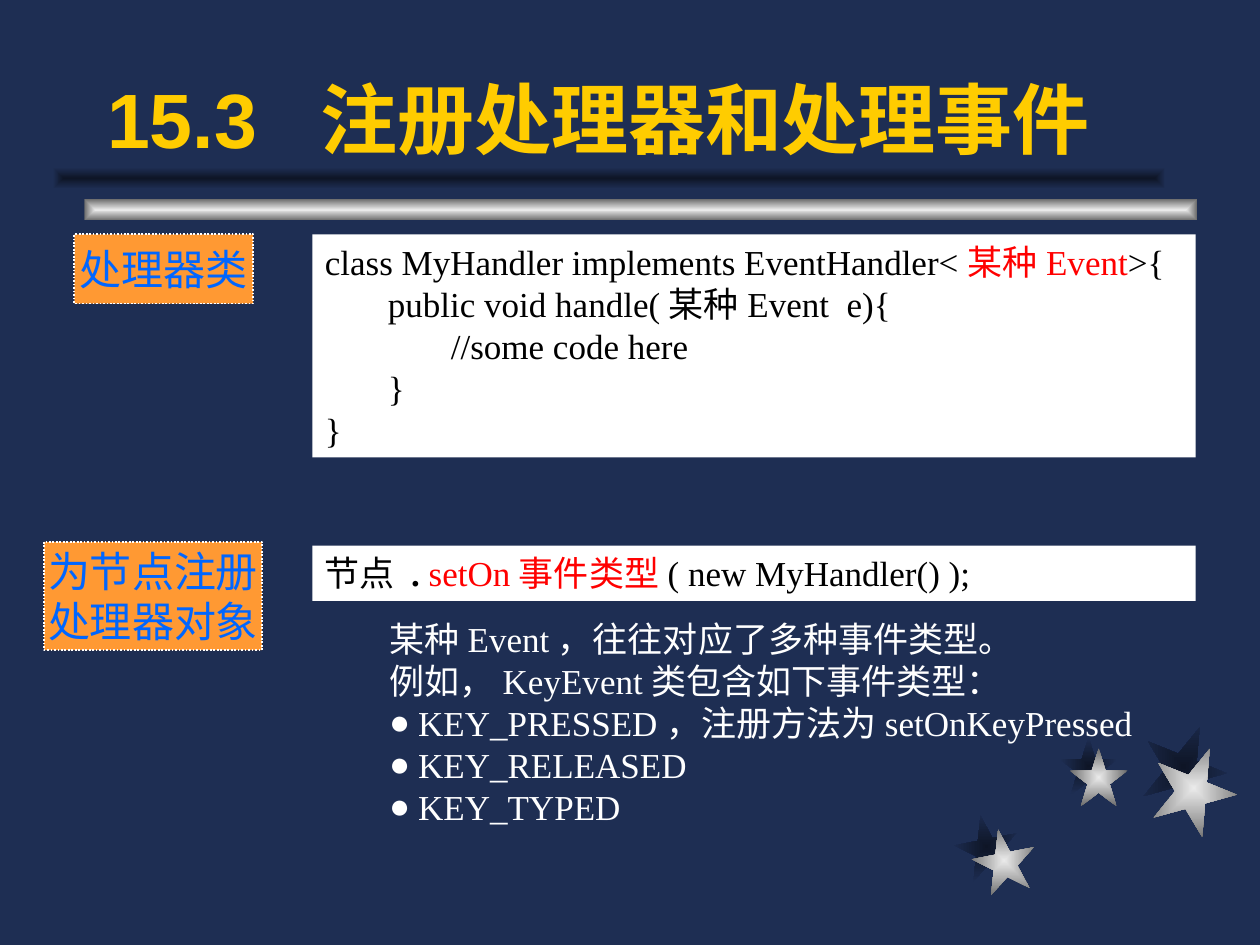
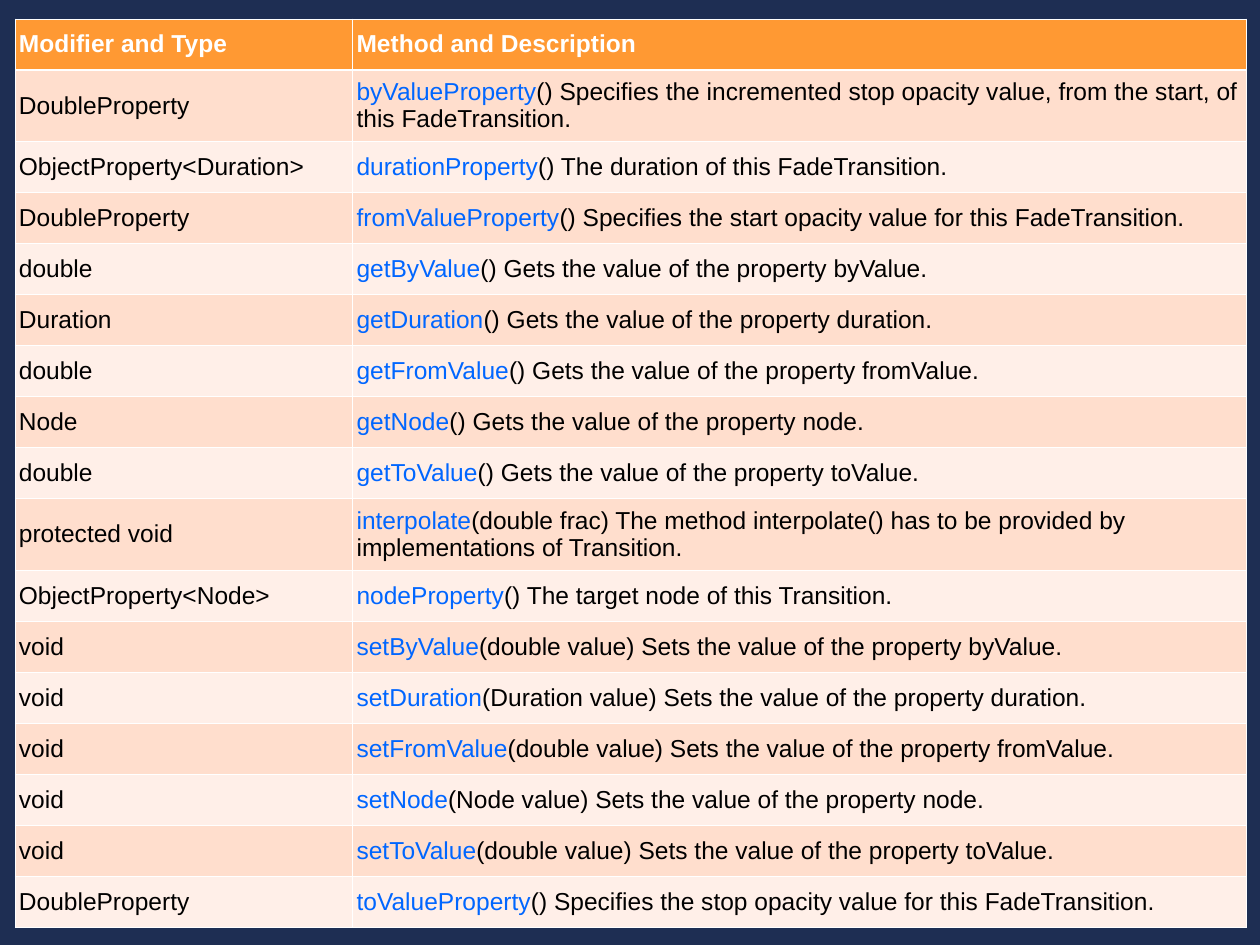
from dataclasses import dataclass
from lxml.etree import SubElement
from pptx import Presentation
from pptx.dml.color import RGBColor
from pptx.enum.dml import MSO_LINE
from pptx.enum.lang import MSO_LANGUAGE_ID as Lang
from pptx.enum.shapes import MSO_SHAPE as Shape
from pptx.enum.text import MSO_ANCHOR as Anchor, MSO_AUTO_SIZE as AutoSize, PP_ALIGN as Align
from pptx.oxml import parse_xml
from pptx.oxml.ns import nsdecls, qn
from pptx.util import Inches, Pt


@dataclass(frozen=True)
class Theme:
    navy: str = "1E2E53"
    shade: str = "0E1526"
    silver: str = "EAEAEA"
    grey: str = "6C6C6C"
    gold: str = "FFCC00"
    orange: str = "FF9933"
    blue: str = "0066FF"
    red: str = "FF0000"
    white: str = "FFFFFF"
    black: str = "000000"
    bands: tuple = ("FFDECD", "FFEFE8")
    sans: str = "Arial"
    serif: str = "Times New Roman"
    title_size: int = 44
    label_size: int = 24
    body_size: int = 20
    table_size: int = 14


T = Theme()
SHADOW = (T.shade, T.navy)
METAL = (T.silver, T.grey)

STARS = [
    (7.58, 6.47, 0.5, -11, SHADOW),
    (8.41, 5.85, 0.46, 0, SHADOW),
    (9.06, 5.75, 0.67, 22, SHADOW),
    (7.72, 6.58, 0.5, -11, METAL),
    (8.49, 5.94, 0.46, 0, METAL),
    (9.14, 5.92, 0.67, 22, METAL),
]
BARS = [(0.67, 1.58, METAL), (0.42, 1.33, SHADOW)]

HANDLER_CODE = [
    [("class MyHandler implements EventHandler<", T.black), ("某种Event", T.red), (">{", T.black)],
    [("\tpublic void handle(某种Event  e){", T.black)],
    [("\t\t//some code here", T.black)],
    [("\t}", T.black)],
    [("}", T.black)],
]
REGISTER_CODE = [[
    ("节点 ", T.black), (". ", T.black, True),
    ("setOn事件类型", T.red), ("( new MyHandler() );", T.black),
]]
EVENT_NOTES = ["某种Event，往往对应了多种事件类型。", "例如，KeyEvent类包含如下事件类型："]
EVENT_TYPES = ["KEY_PRESSED，注册方法为setOnKeyPressed", "KEY_RELEASED", "KEY_TYPED"]

HEADERS = ("Modifier and Type", "Method and Description")
METHODS = [
    ("DoubleProperty", "byValueProperty",
     "() Specifies the incremented stop opacity value, from the start, of this FadeTransition."),
    ("ObjectProperty<Duration>", "durationProperty", "() The duration of this FadeTransition."),
    ("DoubleProperty", "fromValueProperty",
     "() Specifies the start opacity value for this FadeTransition."),
    ("double", "getByValue", "() Gets the value of the property byValue."),
    ("Duration", "getDuration", "() Gets the value of the property duration."),
    ("double", "getFromValue", "() Gets the value of the property fromValue."),
    ("Node", "getNode", "() Gets the value of the property node."),
    ("double", "getToValue", "() Gets the value of the property toValue."),
    ("protected void", "interpolate",
     "(double frac) The method interpolate() has to be provided by implementations of Transition."),
    ("ObjectProperty<Node>", "nodeProperty", "() The target node of this Transition."),
    ("void", "setByValue", "(double value) Sets the value of the property byValue."),
    ("void", "setDuration", "(Duration value) Sets the value of the property duration."),
    ("void", "setFromValue", "(double value) Sets the value of the property fromValue."),
    ("void", "setNode", "(Node value) Sets the value of the property node."),
    ("void", "setToValue", "(double value) Sets the value of the property toValue."),
    ("DoubleProperty", "toValueProperty",
     "() Specifies the stop opacity value for this FadeTransition."),
]
TWO_LINE_METHODS = ("byValueProperty", "interpolate")


def rgb(color):
    return RGBColor.from_string(color)


def inches(box):
    return [Inches(v) for v in box]


def add_run(p, text, size, color, font=T.serif, bold=False):
    r = p.add_run()
    r.text = text
    f = r.font
    f.name, f.size, f.bold = font, Pt(size), bold
    f.color.rgb = rgb(color)
    f.language_id = Lang.SIMPLIFIED_CHINESE


def write(tf, lines, size, align=Align.LEFT):
    for i, runs in enumerate(lines):
        p = tf.paragraphs[0] if i == 0 else tf.add_paragraph()
        p.alignment = align
        for text, color, *bold in runs:
            add_run(p, text, size, color, bold=bool(bold))


def add_metal(slide, kind, box, colors, rotation=0):
    s = slide.shapes.add_shape(kind, *inches(box))
    s.shadow.inherit = False
    s.rotation = rotation
    s.line.fill.background()
    s.fill.gradient()
    for stop, color in zip(s.fill.gradient_stops, colors):
        stop.color.rgb = rgb(color)
    grad = s.element.spPr.find(qn("a:gradFill"))
    grad.remove(grad.find(qn("a:lin")))
    center = SubElement(SubElement(grad, qn("a:path"), {"path": "rect"}), qn("a:fillToRect"))
    for side in "ltrb":
        center.set(side, "50000")
    return s


def decorate_layout(layout, slide):
    parts = [add_metal(slide, Shape.STAR_5_POINT, (x, y, size, size), colors, turn)
             for x, y, size, turn, colors in STARS]
    parts += [add_metal(slide, Shape.RECTANGLE, (x, y, 8.83, 0.17), colors)
              for x, y, colors in BARS]
    for i, s in enumerate(parts):
        s.element.xpath("p:nvSpPr/p:cNvPr")[0].set("id", str(100 + i))
        layout.shapes.element.append(s.element)


def add_title(slide, box, number, text):
    s = slide.shapes.title
    s.left, s.top, s.width, s.height = inches(box)
    tf = s.text_frame
    tf.auto_size, tf.vertical_anchor = AutoSize.NONE, Anchor.TOP
    p = tf.paragraphs[0]
    p.alignment = Align.LEFT
    tabs = SubElement(p._p.get_or_add_pPr(), qn("a:tabLst"))
    SubElement(tabs, qn("a:tab"), {"pos": str(Inches(1.69)), "algn": "l"})
    add_run(p, f"{number}\t{text}", T.title_size, T.gold, T.sans, True)


def add_panel(slide, box, fill):
    s = slide.shapes.add_shape(Shape.RECTANGLE, *inches(box))
    s.shadow.inherit = False
    s.fill.solid()
    s.fill.fore_color.rgb = rgb(fill)
    s.line.fill.background()
    return s


def add_label(slide, box, lines):
    s = add_panel(slide, box, T.orange)
    s.line.color.rgb = rgb(T.white)
    s.line.width = Pt(1)
    s.line.dash_style = MSO_LINE.ROUND_DOT
    s.text_frame.word_wrap = False
    s.text_frame.vertical_anchor = Anchor.MIDDLE
    write(s.text_frame, [[(line, T.blue)] for line in lines], T.label_size, Align.CENTER)


def add_code(slide, box, lines):
    tf = add_panel(slide, box, T.white).text_frame
    tf.word_wrap, tf.vertical_anchor = True, Anchor.TOP
    write(tf, lines, T.body_size)


def add_notes_box(slide, box, notes, bullets):
    tf = slide.shapes.add_textbox(*inches(box)).text_frame
    tf.word_wrap = True
    write(tf, [[(line, T.white)] for line in notes + bullets], T.body_size)
    for p in tf.paragraphs[len(notes):]:
        pPr = p._p.get_or_add_pPr()
        pPr.set("marL", str(Inches(0.23)))
        pPr.set("indent", str(-Inches(0.23)))
        SubElement(pPr, qn("a:buFont"), {"typeface": T.serif})
        SubElement(pPr, qn("a:buChar"), {"char": "●"})


def style_cell(cell, fill, top, bottom):
    cell.margin_left = cell.margin_right = Inches(0.03)
    cell.margin_top = cell.margin_bottom = Inches(0.05)
    cell.vertical_anchor = Anchor.MIDDLE
    tcPr = cell._tc.get_or_add_tcPr()
    for side, width in zip("LRTB", (0.45, 0.45, top, bottom)):
        tcPr.append(parse_xml(
            f'<a:ln{side} {nsdecls("a")} w="{Pt(width)}"><a:solidFill>'
            f'<a:srgbClr val="{T.white}"/></a:solidFill></a:ln{side}>'))
    cell.fill.solid()
    cell.fill.fore_color.rgb = rgb(fill)


def add_method_table(slide, box, headers, methods):
    table = slide.shapes.add_table(len(methods) + 1, 2, *inches(box)).table
    _, _, width, height = box
    type_width, tall = 2.68, 0.53
    table.columns[0].width = Inches(type_width)
    table.columns[1].width = Inches(width - type_width)
    single = (height - len(TWO_LINE_METHODS) * tall) / (len(methods) + 1 - len(TWO_LINE_METHODS))
    thin, thick = 0.45, 1.47
    rows = [[[(h, T.white)] for h in headers]]
    rows += [[[(kind, T.black)], [(name, T.blue), (rest, T.black)]] for kind, name, rest in methods]
    for i, row in enumerate(rows):
        is_tall = row[1][0][0] in TWO_LINE_METHODS
        table.rows[i].height = Inches(tall if is_tall else single)
        fill = T.bands[(i - 1) % 2] if i else T.orange
        for j, runs in enumerate(row):
            cell = table.cell(i, j)
            style_cell(cell, fill, thick if i == 1 else thin, thin if i else thick)
            for text, color in runs:
                add_run(cell.text_frame.paragraphs[0], text, T.table_size, color, T.sans, i == 0)


def build_handler_slide(prs):
    layout = prs.slide_layouts[5]
    slide = prs.slides.add_slide(layout)
    decorate_layout(layout, slide)
    add_title(slide, (0.75, 0.52, 8.5, 0.98), "15.3", "注册处理器和处理事件")
    add_label(slide, (0.59, 1.86, 1.42, 0.55), ["处理器类"])
    add_code(slide, (2.48, 1.86, 7.01, 1.77), HANDLER_CODE)
    add_label(slide, (0.35, 4.3, 1.73, 0.86), ["为节点注册", "处理器对象"])
    add_code(slide, (2.48, 4.33, 7.01, 0.44), REGISTER_CODE)
    add_notes_box(slide, (2.99, 4.85, 6.73, 1.77), EVENT_NOTES, EVENT_TYPES)


def build_method_slide(prs):
    slide = prs.slides.add_slide(prs.slide_layouts[6])
    add_method_table(slide, (0.12, 0.15, 9.77, 7.14), HEADERS, METHODS)


def main():
    prs = Presentation()
    prs.slide_width, prs.slide_height = Inches(10), Inches(7.5)
    background = prs.slide_master.background.fill
    background.solid()
    background.fore_color.rgb = rgb(T.navy)
    build_handler_slide(prs)
    build_method_slide(prs)
    prs.save("out.pptx")


if __name__ == "__main__":
    main()
